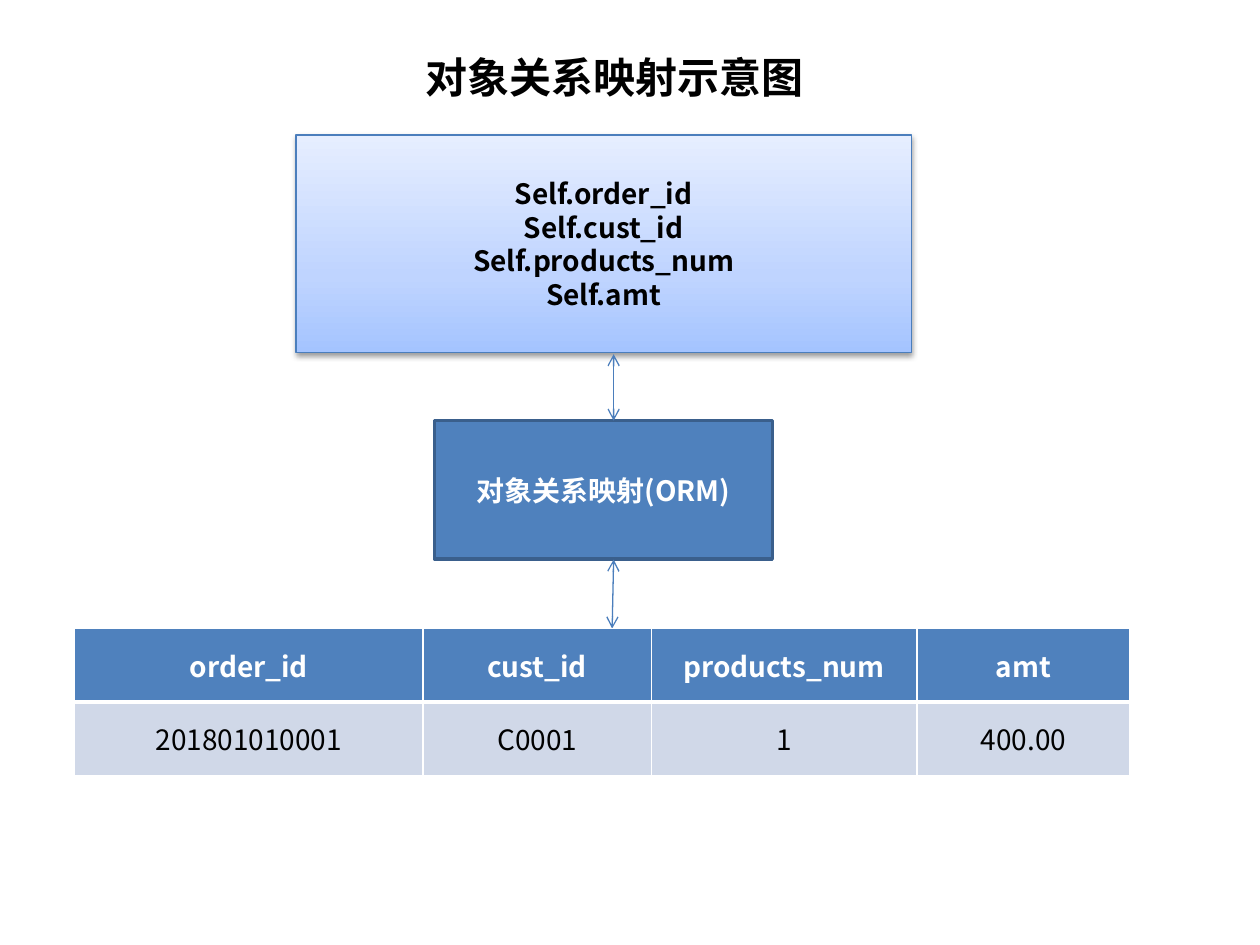
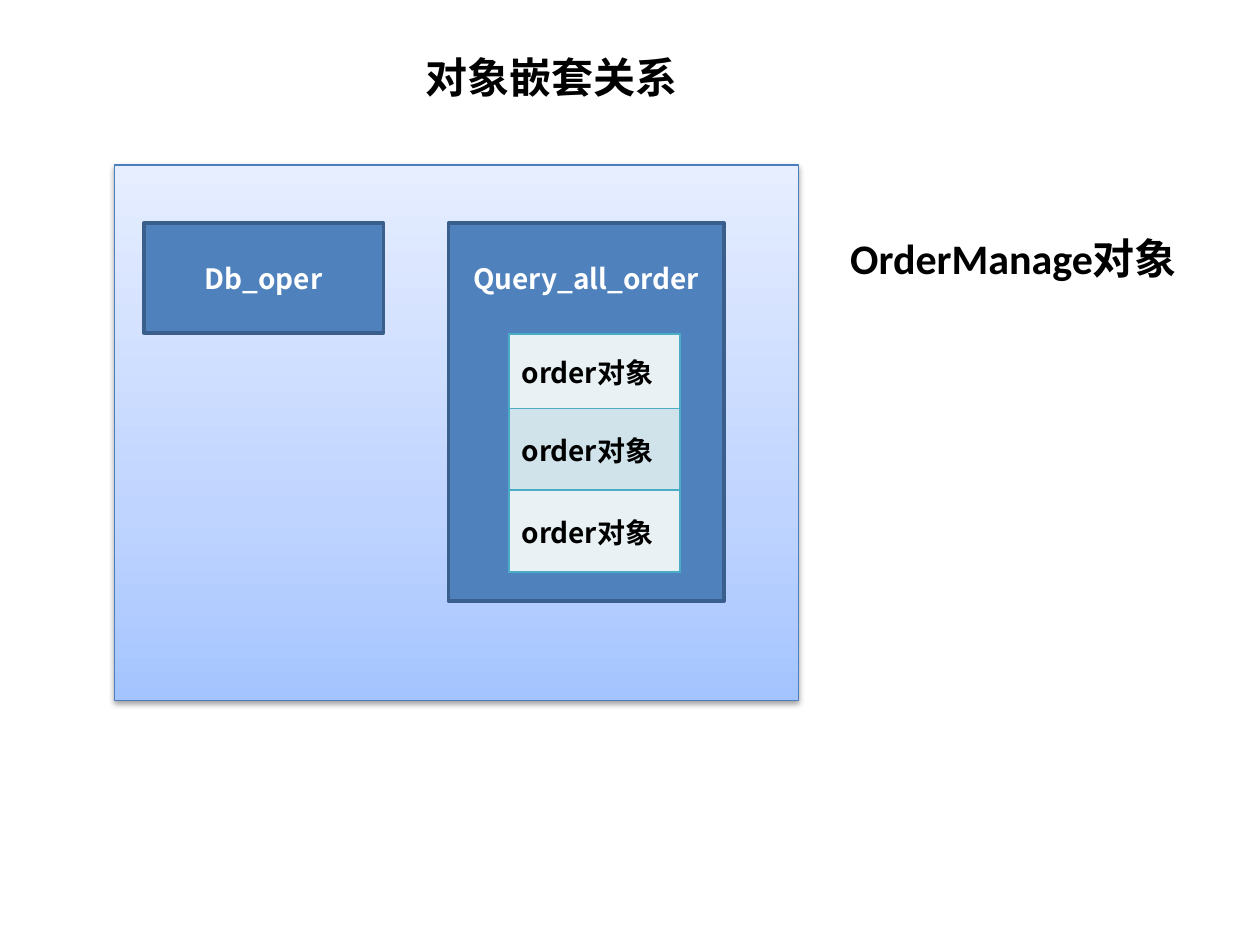
"""Build two slides on object-relational mapping and object nesting."""
from copy import deepcopy

from lxml.etree import SubElement, fromstring
from pptx import Presentation
from pptx.dml.color import RGBColor
from pptx.enum.shapes import MSO_CONNECTOR, MSO_SHAPE
from pptx.enum.text import MSO_ANCHOR, MSO_AUTO_SIZE, PP_ALIGN
from pptx.oxml.ns import nsdecls, qn
from pptx.util import Cm, Pt

rgb = RGBColor.from_string
CJK = "Noto Sans CJK SC"
BLUE, EDGE, DARK_EDGE, TEAL = "4F81BD", "4B7EBC", "3A5F8C", "4BACC6"
BLACK, WHITE = "000000", "FFFFFF"
GRADIENT = [(0, "A4C4FF"), (0.35, "BFD4FF"), (1, "E6EEFF")]
HEADING = {"name": "Calibri", "size": Pt(24), "bold": True}
LABEL = {"name": CJK, "size": Pt(16), "bold": True}
VALUE = {**LABEL, "bold": False}


def write(frame, lines, formats, color, align=PP_ALIGN.CENTER):
    for number, line in enumerate(lines):
        paragraph = frame.add_paragraph() if number else frame.paragraphs[0]
        paragraph.alignment = align
        run = paragraph.add_run()
        run.text = line
        for attribute, value in formats.items():
            setattr(run.font, attribute, value)
        run.font.color.rgb = rgb(color)
        SubElement(run._r.get_or_add_rPr(), qn("a:ea"), typeface=CJK)


def set_borders(cell, color, widths):
    properties = cell._tc.get_or_add_tcPr()
    for position, (side, width) in enumerate(zip("LRTB", widths)):
        properties.insert(position, fromstring(
            f'<a:ln{side} {nsdecls("a")} w="{Pt(width)}"><a:solidFill>'
            f'<a:srgbClr val="{color}"/></a:solidFill></a:ln{side}>'))


deck = Presentation()
deck.slide_width, deck.slide_height = Cm(25.4), Cm(19.05)
mapping, nesting = [deck.slides.add_slide(deck.slide_layouts[6]) for _ in range(2)]

panels = [
    (mapping, (5.97, 2.72, 12.4, 4.39),
     ["Self.order_id", "Self.cust_id", "Self.products_num", "Self.amt"]),
    (nesting, (2.31, 3.33, 13.79, 10.8), []),
]
for slide, place, fields in panels:
    panel = slide.shapes.add_shape(MSO_SHAPE.RECTANGLE, *map(Cm, place))
    panel.fill.gradient()
    panel.fill.gradient_angle = 90
    stop_list = panel._element.spPr.find(".//" + qn("a:gsLst"))
    stop_list.append(deepcopy(stop_list[0]))
    for stop, (position, color) in zip(panel.fill.gradient_stops, GRADIENT):
        stop.position = position
        stop.color.rgb = rgb(color)
    panel.line.color.rgb = rgb(EDGE)
    panel.line.width = Pt(0.75)
    panel.shadow.inherit = False
    panel._element.spPr.find(qn("a:effectLst")).append(fromstring(
        f'<a:outerShdw {nsdecls("a")} blurRad="{Pt(3.1)}" dist="{Pt(1.6)}" dir="5400000" '
        f'rotWithShape="0"><a:srgbClr val="{BLACK}"><a:alpha val="38000"/></a:srgbClr>'
        '</a:outerShdw>'))
    write(panel.text_frame, fields, LABEL, BLACK)

boxes = [
    (mapping, (8.76, 8.48, 6.81, 2.79), "对象关系映射(ORM)", MSO_ANCHOR.MIDDLE),
    (nesting, (2.9, 4.5, 4.83, 2.21), "Db_oper", MSO_ANCHOR.MIDDLE),
    (nesting, (9.04, 4.5, 5.56, 7.62), "Query_all_order", MSO_ANCHOR.TOP),
]
for slide, place, label, anchor in boxes:
    box = slide.shapes.add_shape(MSO_SHAPE.RECTANGLE, *map(Cm, place))
    box.fill.solid()
    box.fill.fore_color.rgb = rgb(BLUE)
    box.line.color.rgb = rgb(DARK_EDGE)
    box.line.width = Pt(2)
    box.shadow.inherit = False
    box.text_frame.vertical_anchor = anchor
    if anchor == MSO_ANCHOR.TOP:
        box.text_frame.margin_top = Cm(0.78)
    write(box.text_frame, [label], LABEL, WHITE)

for ends in [(12.37, 7.14, 12.37, 8.48), (12.37, 11.28, 12.34, 12.67)]:
    arrow = mapping.shapes.add_connector(MSO_CONNECTOR.STRAIGHT, *map(Cm, ends))
    arrow.line.color.rgb = rgb(EDGE)
    arrow.line.width = Pt(0.75)
    for end in ("a:headEnd", "a:tailEnd"):
        SubElement(arrow.line._get_or_add_ln(), qn(end), type="arrow")
    SubElement(arrow._element.spPr, qn("a:effectLst"))

headings = [
    (mapping, (8.33, 0.91, 8.26, 1.27), "对象关系映射示意图", False),
    (nesting, (8.33, 0.91, 5.66, 1.27), "对象嵌套关系", False),
    (nesting, (16.89, 4.57, 7.11, 1.27), "OrderManage对象", True),
]
for slide, place, words, wraps in headings:
    heading = slide.shapes.add_textbox(*map(Cm, place)).text_frame
    heading.word_wrap = wraps
    heading.auto_size = MSO_AUTO_SIZE.SHAPE_TO_FIT_TEXT
    write(heading, [words], HEADING, BLACK, PP_ALIGN.LEFT)

order_rows = [
    (["order_id", "cust_id", "products_num", "amt"], 1.48, BLUE, LABEL, WHITE, (1, 1, 1, 3)),
    (["201801010001", "C0001", "1", "400.00"], 1.48, "D0D8E8", VALUE, BLACK, (1, 1, 3, 1)),
]
object_rows = [
    (["order对象"], height, fill, LABEL, BLACK, (1, 1, 1, 1))
    for height, fill in [(1.5, "E9F1F5"), (1.65, "D0E3EA"), (1.65, "E9F1F5")]
]
tables = [
    (mapping, (1.5, 12.67), [7.03, 4.6, 5.36, 4.29], order_rows, WHITE, PP_ALIGN.CENTER),
    (nesting, (10.26, 6.73), [3.45], object_rows, TEAL, PP_ALIGN.LEFT),
]
for slide, corner, widths, rows, border, align in tables:
    size = sum(widths), sum(row[1] for row in rows)
    table = slide.shapes.add_table(
        len(rows), len(widths), *map(Cm, corner + size)).table
    table.first_row = table.horz_banding = False
    for column, width in zip(table.columns, widths):
        column.width = Cm(width)
    for table_row, (texts, height, fill, formats, color, edges) in zip(table.rows, rows):
        table_row.height = Cm(height)
        for cell, words in zip(table_row.cells, texts):
            cell.fill.solid()
            cell.fill.fore_color.rgb = rgb(fill)
            cell.vertical_anchor = MSO_ANCHOR.MIDDLE
            set_borders(cell, border, edges)
            write(cell.text_frame, [words], formats, color, align)

deck.save("out.pptx")
